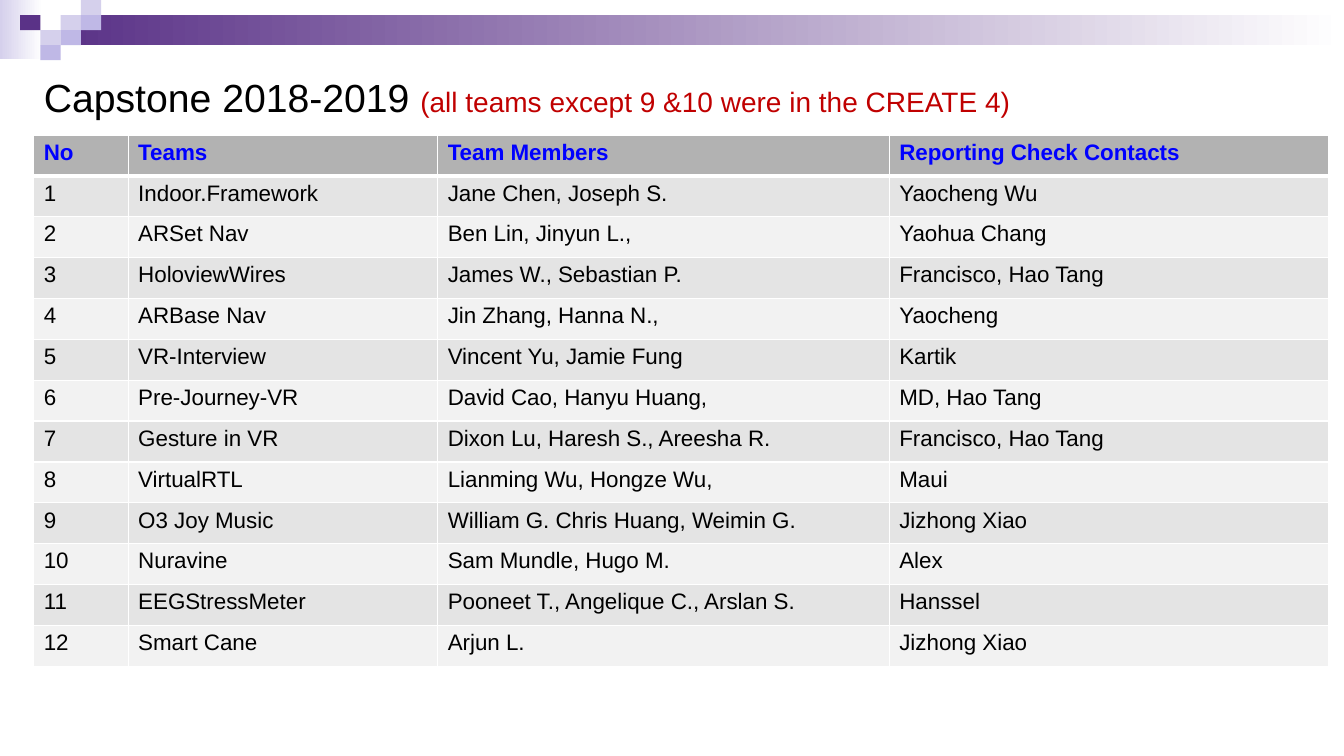
from dataclasses import dataclass

from lxml.etree import SubElement
from pptx import Presentation
from pptx.dml.color import RGBColor as RGB
from pptx.enum.shapes import MSO_SHAPE as Shape
from pptx.enum.text import MSO_ANCHOR as Anchor, PP_ALIGN as Align
from pptx.oxml.ns import qn
from pptx.util import Cm, Pt


@dataclass(frozen=True)
class Theme:
    font: str = "Arial"
    purple: str = "5A3287"
    lilac: str = "BFB8E6"
    pale: str = "D5D0EC"
    white: str = "FFFFFF"
    text: str = "000000"
    remark: str = "C00000"
    header_text: str = "0000FF"
    header_fill: str = "B2B2B2"
    odd_fill: str = "E4E4E4"
    even_fill: str = "F2F2F2"
    title_size: int = 28
    remark_size: int = 20
    table_size: int = 16


theme = Theme()


def add_run(paragraph, text, size, color, bold=False):
    run = paragraph.add_run()
    run.text = text
    run.font.name = theme.font
    run.font.size = Pt(size)
    run.font.bold = bold
    run.font.color.rgb = RGB.from_string(color)


def add_block(left, top, width, height, color, fade=False):
    block = slide.shapes.add_shape(Shape.RECTANGLE, Cm(left), Cm(top), Cm(width), Cm(height))
    block.shadow.inherit = False
    block.line.fill.background()
    if fade:
        block.fill.gradient()
        block.fill.gradient_angle = 0
        for stop, shade in zip(block.fill.gradient_stops, (color, theme.white)):
            stop.color.rgb = RGB.from_string(shade)
    else:
        block.fill.solid()
        block.fill.fore_color.rgb = RGB.from_string(color)


deck = Presentation()
deck.slide_width, deck.slide_height = Cm(33.87), Cm(19.05)
slide = deck.slides.add_slide(deck.slide_layouts[5])

# Banner: two fading bars and a mosaic of small tiles
tile_width, tile_height = 0.51, 0.38
add_block(0, 0, 1.07, 1.48, theme.pale, fade=True)
add_block(1.53, tile_height, 32.34, 2 * tile_height, theme.purple, fade=True)
mosaic = [
    (3, 1, theme.pale),
    (4, 0, theme.pale),
    (4, 1, theme.lilac),
    (2, 2, theme.pale),
    (1, 1, theme.purple),
    (3, 2, theme.lilac),
    (2, 3, theme.lilac),
]
for column, row, color in mosaic:
    add_block(column * tile_width, row * tile_height, tile_width, tile_height, color)

# Title
title = slide.shapes.title
title.left, title.top, title.width, title.height = Cm(0.85), Cm(1.27), Cm(32.17), Cm(2.33)
title.text_frame.vertical_anchor = Anchor.MIDDLE
heading = title.text_frame.paragraphs[0]
heading.alignment = Align.LEFT
add_run(heading, "Capstone 2018-2019 ", theme.title_size, theme.text)
add_run(heading, "(all teams except 9 &10 were in the CREATE 4)", theme.remark_size, theme.remark)

# Team table
header = ("No", "Teams", "Team Members", "Reporting Check Contacts")
teams = [
    ("Indoor.Framework", "Jane Chen, Joseph S.", "Yaocheng Wu"),
    ("ARSet Nav", "Ben Lin, Jinyun L.,", "Yaohua Chang"),
    ("HoloviewWires", "James W., Sebastian P.", "Francisco, Hao Tang"),
    ("ARBase Nav", "Jin Zhang, Hanna N.,", "Yaocheng"),
    ("VR-Interview", "Vincent Yu, Jamie Fung", "Kartik"),
    ("Pre-Journey-VR", "David Cao, Hanyu Huang,", "MD, Hao Tang"),
    ("Gesture in VR", "Dixon Lu, Haresh S., Areesha R.", "Francisco, Hao Tang"),
    ("VirtualRTL", "Lianming Wu, Hongze Wu,", "Maui"),
    ("O3 Joy Music", "William G. Chris Huang, Weimin G.", "Jizhong Xiao"),
    ("Nuravine", "Sam Mundle, Hugo M.", "Alex"),
    ("EEGStressMeter", "Pooneet T., Angelique C., Arslan S.", "Hanssel"),
    ("Smart Cane", "Arjun L.", "Jizhong Xiao"),
]
rows = [header] + [(str(number), *team) for number, team in enumerate(teams, 1)]
column_widths = (2.38, 7.8, 11.38, 11.06)
row_height = 1.03
roster = slide.shapes.add_table(
    len(rows), len(header), Cm(0.85), Cm(3.4),
    Cm(sum(column_widths)), Cm(row_height * len(rows)),
).table
for column, width in zip(roster.columns, column_widths):
    column.width = Cm(width)

for index, entries in enumerate(rows):
    roster.rows[index].height = Cm(row_height)
    is_header = index == 0
    if is_header:
        fill = theme.header_fill
    else:
        fill = theme.odd_fill if index % 2 else theme.even_fill
    for position, entry in enumerate(entries):
        cell = roster.cell(index, position)
        add_run(cell.text_frame.paragraphs[0], entry, theme.table_size,
                theme.header_text if is_header else theme.text, is_header)

        # White borders, heavier around the header's lower edge
        properties = cell._tc.get_or_add_tcPr()
        for side in ("lnL", "lnR", "lnT", "lnB"):
            heavy = (side == "lnB" and index == 0) or (side == "lnT" and index == 1)
            border = SubElement(properties, qn(f"a:{side}"), w=str(Pt(3 if heavy else 1)))
            paint = SubElement(border, qn("a:solidFill"))
            SubElement(paint, qn("a:srgbClr"), val=theme.white)

        cell.fill.solid()
        cell.fill.fore_color.rgb = RGB.from_string(fill)

deck.save("out.pptx")
